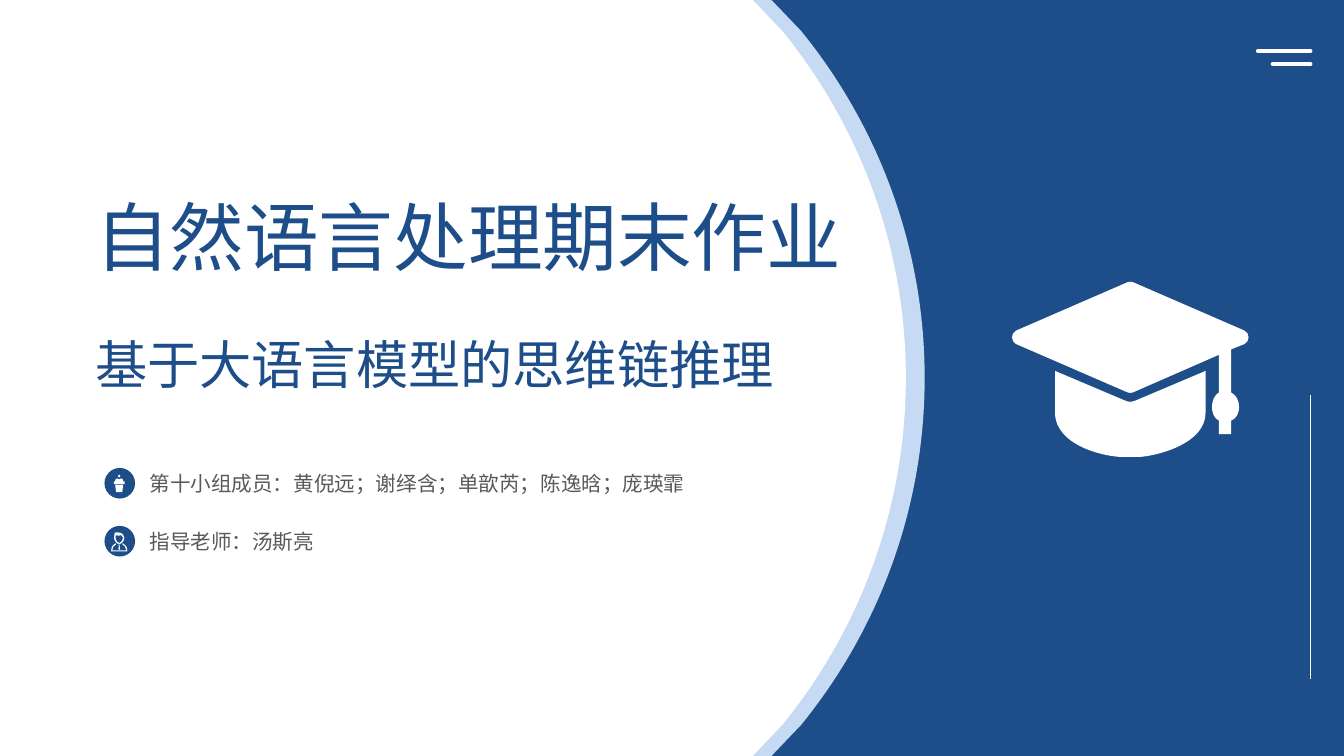
from dataclasses import dataclass
from typing import NamedTuple

import lxml.etree
import pptx
import pptx.dml.color
import pptx.enum.shapes
import pptx.enum.text
import pptx.oxml.ns
import pptx.util

# Square grid: one column and one row are both a tenth of an inch.
UNIT = pptx.util.Inches(0.1)
COLUMNS, ROWS = 100, 56.25

# A contour starts with a point; then pairs are corners and
# six numbers are a curve (two control points and its end).
Contour = list[tuple[float, ...]]


@dataclass(frozen=True)
class Theme:
    navy: str = "1D4E89"
    pale: str = "C6DBF3"
    white: str = "FFFFFF"
    gray: str = "595959"
    font: str = "Noto Sans CJK SC"
    title: float = 40
    subtitle: float = 28
    body: float = 11
    thick: float = 2.25
    thin: float = 0.5


THEME = Theme()


class Label(NamedTuple):
    text: str
    column: float
    row: float
    width: float
    height: float
    size: float
    color: str
    wrap: bool = True


class Rule(NamedTuple):
    start: tuple[float, float]
    end: tuple[float, float]
    weight: float
    cap: str


class Badge(NamedTuple):
    row: float
    glyph: list[Contour]


PANEL: list[Contour] = [[
    (0, 0), (56, 0), (58.2, 2.3),
    (63.9, 9.3, 67.4, 18.3, 67.4, 28.12),
    (67.4, 37.95, 63.9, 46.95, 58.2, 53.95),
    (56, ROWS), (0, ROWS),
]]

CAP: list[Contour] = [
    [  # board and tassel
        (92.6, 24.6), (84.3, 21), (84.2, 20.95, 84, 20.95, 83.9, 21),
        (75.6, 24.6), (75.2, 24.8, 75.2, 25.4, 75.6, 25.6),
        (83.9, 29.2), (84, 29.25, 84.2, 29.25, 84.3, 29.2),
        (90.7, 26.4), (90.7, 29.2), (90, 29.6, 90, 31, 90.7, 31.3),
        (90.7, 32.3), (91.6, 32.3), (91.6, 31.3),
        (92.4, 31, 92.4, 29.6, 91.6, 29.2), (91.6, 26),
        (92.6, 25.6), (93, 25.4, 93, 24.8, 92.6, 24.6),
    ],
    [  # crown
        (84.1, 29.9), (83.9, 29.9, 83.8, 29.85, 83.7, 29.8),
        (78.5, 27.6), (78.5, 30.7), (78.5, 33.2, 82.3, 34, 83.5, 34),
        (84.7, 34), (85.6, 34, 89.7, 33.2, 89.7, 30.7), (89.7, 27.6),
        (84.5, 29.8), (84.4, 29.85, 84.2, 29.9, 84.1, 29.9),
    ],
]

# Glyphs are measured from the top left corner of their badge.
LECTERN: list[Contour] = [
    [(0.7, 1), (1.5, 1), (1.5, 1.2), (0.7, 1.2)],
    [(0.8, 1.25), (1.4, 1.25), (1.33, 1.8), (0.87, 1.8)],
    [(1, 0.6), (1, 0.45, 1.2, 0.45, 1.2, 0.6), (1.2, 0.75, 1, 0.75, 1, 0.6)],
    [(0.8, 0.97), (0.8, 0.85, 0.85, 0.8, 0.95, 0.78), (1.1, 0.85), (1.25, 0.78),
     (1.35, 0.8, 1.4, 0.85, 1.4, 0.97)],
]
TEACHER: list[Contour] = [
    [  # coat
        (0.5, 1.9), (0.5, 1.6, 0.6, 1.4, 0.75, 1.35), (0.87, 1.3), (0.87, 1.37),
        (0.68, 1.45, 0.6, 1.6, 0.58, 1.83), (1.62, 1.83),
        (1.6, 1.6, 1.52, 1.45, 1.33, 1.37), (1.33, 1.3), (1.45, 1.35),
        (1.6, 1.4, 1.7, 1.6, 1.7, 1.9),
    ],
    [(1.1, 1.8), (1.03, 1.7), (1.08, 1.5), (1.03, 1.4), (1.17, 1.4),
     (1.12, 1.5), (1.17, 1.7)],  # tie
    [(0.72, 0.9), (0.76, 0.5), (1.1, 0.46, 1.44, 0.5, 1.48, 0.9),
     (1.48, 1.1, 1.3, 1.35, 1.1, 1.35), (0.9, 1.35, 0.72, 1.1, 0.72, 0.9)],
    [(0.82, 0.9), (0.85, 0.7), (1.1, 0.76, 1.2, 0.7, 1.28, 0.7), (1.38, 0.9),
     (1.38, 1.1, 1.2, 1.28, 1.1, 1.28), (1, 1.28, 0.82, 1.1, 0.82, 0.9)],
]

BADGE_COLUMN, BADGE_SIZE = 7.77, 2.28
BADGES = [Badge(34.82, LECTERN), Badge(39.13, TEACHER)]

LABELS = [
    Label("第十小组成员：黄倪远；谢绎含；单歆芮；陈逸晗；庞瑛霏",
          10.14, 34.55, 56.2, 2.9, THEME.body, THEME.gray),
    Label("指导老师：汤斯亮", 10.14, 38.85, 17, 2.9, THEME.body, THEME.gray),
    Label("自然语言处理期末作业",
          6.1, 13.7, 58.1, 7.7, THEME.title, THEME.navy, wrap=False),
    Label("基于大语言模型的思维链推理",
          6.1, 24.2, 58.3, 5.7, THEME.subtitle, THEME.navy),
]

RULES = [
    Rule((94.7, 4.77), (97.5, 4.77), THEME.thick, "rnd"),
    Rule((93.6, 3.8), (97.5, 3.8), THEME.thick, "rnd"),
    Rule((97.5, 29.4), (97.5, 50.5), THEME.thin, "flat"),
]


def grid(*counts: float) -> list[int]:
    return [round(count * UNIT) for count in counts]


def rgb(color: str) -> pptx.dml.color.RGBColor:
    return pptx.dml.color.RGBColor.from_string(color)


def paint(shape, color: str) -> None:
    shape.shadow.inherit = False
    shape.fill.solid()
    shape.fill.fore_color.rgb = rgb(color)
    shape.line.fill.background()


def bend(outline, contours: list[Contour]) -> None:
    """Join the three straight steps of each curve into one Bezier segment."""
    steps = iter(list(outline._element.iter(pptx.oxml.ns.qn("a:lnTo"))))
    for contour in contours:
        for segment in contour[1:]:
            first = next(steps)
            if len(segment) == 2:
                continue
            first.tag = pptx.oxml.ns.qn("a:cubicBezTo")
            for step in (next(steps), next(steps)):
                first.append(step[0])
                step.getparent().remove(step)


def draw_outline(page, contours: list[Contour], color: str,
                 column: float = 0, row: float = 0) -> None:
    builder = None
    for contour in contours:
        first, *rest = [
            tuple(grid(column + segment[i], row + segment[i + 1]))
            for segment in contour for i in range(0, len(segment), 2)]
        if builder is None:
            builder = page.shapes.build_freeform(*first)
        else:
            builder.move_to(*first)
        builder.add_line_segments(rest, close=True)
    outline = builder.convert_to_shape()
    bend(outline, contours)
    paint(outline, color)


def draw_badge(page, badge: Badge) -> None:
    disc = page.shapes.add_shape(
        pptx.enum.shapes.MSO_SHAPE.OVAL,
        *grid(BADGE_COLUMN, badge.row, BADGE_SIZE, BADGE_SIZE))
    paint(disc, THEME.navy)
    draw_outline(page, badge.glyph, THEME.white, BADGE_COLUMN, badge.row)


def draw_label(page, label: Label) -> None:
    box = page.shapes.add_textbox(
        *grid(label.column, label.row, label.width, label.height))
    box.text_frame.word_wrap = label.wrap
    box.text_frame.auto_size = pptx.enum.text.MSO_AUTO_SIZE.SHAPE_TO_FIT_TEXT
    para = box.text_frame.paragraphs[0]
    para.text = label.text
    para.font.size = pptx.util.Pt(label.size)
    para.font.color.rgb = rgb(label.color)
    para.font.name = THEME.font
    defaults = para._p.pPr.find(pptx.oxml.ns.qn("a:defRPr"))
    lxml.etree.SubElement(defaults, pptx.oxml.ns.qn("a:ea"), typeface=THEME.font)


def draw_rule(page, rule: Rule) -> None:
    line = page.shapes.add_connector(
        pptx.enum.shapes.MSO_CONNECTOR.STRAIGHT, *grid(*rule.start, *rule.end))
    line.line.color.rgb = rgb(THEME.white)
    line.line.width = pptx.util.Pt(rule.weight)
    properties = line._element.spPr
    properties.find(pptx.oxml.ns.qn("a:ln")).set("cap", rule.cap)
    lxml.etree.SubElement(properties, pptx.oxml.ns.qn("a:effectLst"))


def main() -> None:
    deck = pptx.Presentation()
    deck.slide_width, deck.slide_height = grid(COLUMNS, ROWS)
    page = deck.slides.add_slide(deck.slide_layouts[6])
    page.background.fill.solid()
    page.background.fill.fore_color.rgb = rgb(THEME.navy)

    draw_outline(page, PANEL, THEME.pale, column=1.4)
    draw_outline(page, PANEL, THEME.white)
    for badge in BADGES:
        draw_badge(page, badge)
    for label in LABELS:
        draw_label(page, label)
    for rule in RULES:
        draw_rule(page, rule)
    draw_outline(page, CAP, THEME.white)
    deck.save("out.pptx")


if __name__ == "__main__":
    main()
